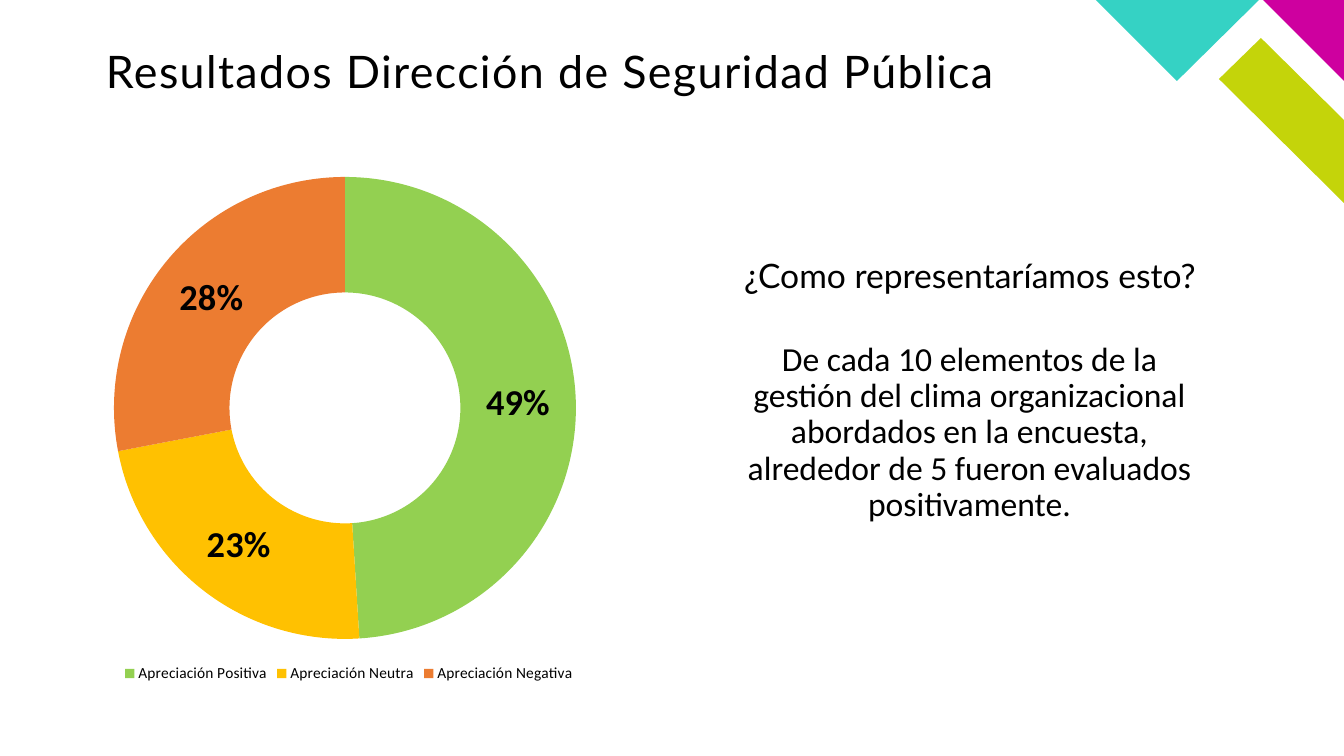
from dataclasses import dataclass

from lxml import etree
from pptx import Presentation
from pptx.chart.data import CategoryChartData
from pptx.dml.color import RGBColor
from pptx.enum.chart import XL_CHART_TYPE, XL_LEGEND_POSITION
from pptx.enum.text import MSO_ANCHOR, PP_ALIGN
from pptx.oxml.ns import qn
from pptx.util import Pt

DOUGHNUT = XL_CHART_TYPE.DOUGHNUT
LEGEND_BOTTOM = XL_LEGEND_POSITION.BOTTOM
TOP, MIDDLE = MSO_ANCHOR.TOP, MSO_ANCHOR.MIDDLE
LEFT, CENTER = PP_ALIGN.LEFT, PP_ALIGN.CENTER

SLIDE_W, SLIDE_H = 1344, 756
EMU_PER_PX = 12192000 / SLIDE_W


def px(length):
    return round(length * EMU_PER_PX)


@dataclass(frozen=True)
class Theme:
    heading_font: str = "Lato"
    body_font: str = "Calibri"
    ink: str = "000000"
    lime: str = "C4D40A"
    magenta: str = "CE009F"
    teal: str = "35D2C4"
    positive: str = "93D051"
    neutral: str = "FFC101"
    negative: str = "EC7C31"
    title_size: int = 32
    body_size: int = 24
    value_size: int = 26
    legend_size: int = 11


class SlideBuilder:
    def __init__(self, slide, theme):
        self.shapes = slide.shapes
        self.theme = theme

    def style(self, font, size, face, bold=False):
        font.size = Pt(size)
        font.name = face
        font.bold = bold
        font.color.rgb = RGBColor.from_string(self.theme.ink)

    def polygon(self, points, color):
        start, *others = [(px(x), px(y)) for x, y in points]
        outline = self.shapes.build_freeform(*start)
        outline.add_line_segments(others, close=True)
        shape = outline.convert_to_shape()
        shape.shadow.inherit = False
        shape.fill.solid()
        shape.fill.fore_color.rgb = RGBColor.from_string(color)
        shape.line.fill.background()

    def text(self, box, words, size, face, align=CENTER, anchor=MIDDLE,
             inset=10, tracking=0):
        """Add one paragraph; tracking is in hundredths of a point."""
        frame = self.shapes.add_textbox(*map(px, box)).text_frame
        frame.word_wrap = True
        frame.vertical_anchor = anchor
        frame.margin_left = frame.margin_right = px(inset)
        frame.margin_top = frame.margin_bottom = px(inset // 2)
        paragraph = frame.paragraphs[0]
        paragraph.alignment = align
        paragraph.line_spacing = 0.9
        run = paragraph.add_run()
        run.text = words
        self.style(run.font, size, face)
        if tracking:
            run.font._element.set("spc", str(tracking))

    def doughnut(self, box, ring, slices):
        """Chart (name, share, color) slices; ring is the plot box on the slide."""
        theme = self.theme
        data = CategoryChartData(number_format="0%")
        data.categories = [name for name, _, _ in slices]
        data.add_series("Series 1", [share for _, share, _ in slices])
        chart = self.shapes.add_chart(DOUGHNUT, *map(px, box), data).chart
        chart.has_title = False
        self.style(chart.font, theme.legend_size, theme.body_font)

        chart.has_legend = True
        chart.legend.position = LEGEND_BOTTOM
        chart.legend.include_in_layout = False
        self.style(chart.legend.font, theme.legend_size, theme.body_font)

        plot = chart.plots[0]
        plot.vary_by_categories = True
        for index, (_, _, color) in enumerate(slices):
            slice_format = plot.series[0].points[index].format
            slice_format.fill.solid()
            slice_format.fill.fore_color.rgb = RGBColor.from_string(color)
            slice_format.line.fill.background()

        labels = plot.series[0].data_labels
        labels.show_value = True
        labels.show_percentage = False
        labels.number_format = "0%"
        labels.number_format_is_linked = False
        self.style(labels.font, theme.value_size, theme.body_font, bold=True)
        self.place_plot(chart, box, ring)

    def place_plot(self, chart, box, ring):
        plot_area = chart._chartSpace.chart.plotArea
        for automatic in plot_area.findall(qn("c:layout")):
            plot_area.remove(automatic)
        layout = etree.Element(qn("c:layout"))
        plot_area.insert(0, layout)
        manual = etree.SubElement(layout, qn("c:manualLayout"))
        left, top, width, height = box
        settings = {
            "layoutTarget": "inner", "xMode": "edge", "yMode": "edge",
            "x": (ring[0] - left) / width, "y": (ring[1] - top) / height,
            "w": ring[2] / width, "h": ring[3] / height,
        }
        for tag, value in settings.items():
            etree.SubElement(manual, qn(f"c:{tag}")).set("val", str(value))


def main():
    theme = Theme()
    deck = Presentation()
    deck.slide_width, deck.slide_height = px(SLIDE_W), px(SLIDE_H)
    blank = deck.slide_layouts[6]
    page = SlideBuilder(deck.slides.add_slide(blank), theme)

    page.polygon([(1344, 203), (1344, 120), (1261, 38), (1219, 79)], theme.lime)
    page.polygon([(1344, 81), (1344, 0), (1263, 0)], theme.magenta)
    page.polygon([(1096, 0), (1177, 81), (1259, 0)], theme.teal)

    page.text((106, 50, 1008, 68), "Resultados Dirección de Seguridad Pública",
              theme.title_size, theme.heading_font, align=LEFT, anchor=TOP,
              inset=0, tracking=100)
    page.text((724, 309, 491, 248),
              "De cada 10 elementos de la gestión del clima organizacional "
              "abordados en la encuesta, alrededor de 5 fueron evaluados "
              "positivamente.", theme.body_size, theme.body_font)
    page.text((718, 234, 504, 88), "¿Como representaríamos esto?",
              theme.body_size, theme.heading_font)

    page.doughnut((87, 163, 524, 524), (114, 177, 462, 462), [
        ("Apreciación Positiva", 0.49, theme.positive),
        ("Apreciación Neutra", 0.23, theme.neutral),
        ("Apreciación Negativa", 0.28, theme.negative),
    ])
    deck.save("out.pptx")


if __name__ == "__main__":
    main()
